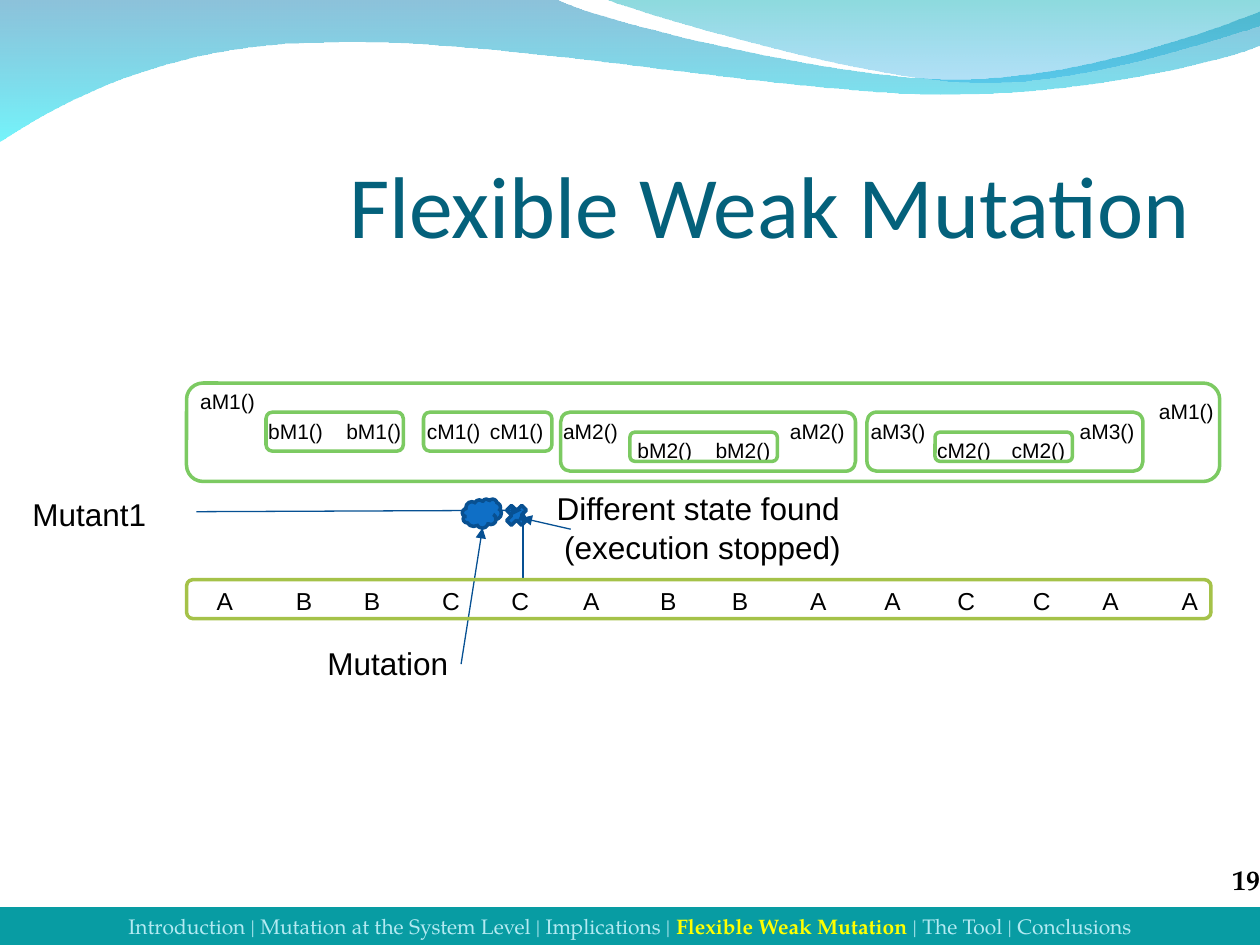
import pptx
import pptx.util
import pptx.dml.color
import pptx.enum.shapes
import pptx.enum.text
import pptx.oxml
import pptx.oxml.ns
from lxml import etree

Pt = pptx.util.Pt
SHAPES = pptx.enum.shapes.MSO_SHAPE
ALIGN = pptx.enum.text.PP_ALIGN
ANCHOR = pptx.enum.text.MSO_ANCHOR
AUTO_SIZE = pptx.enum.text.MSO_AUTO_SIZE
SERIF = "TeX Gyre Pagella"


def colour(hex_string):
    return pptx.dml.color.RGBColor.from_string(hex_string)


def add_element(parent, tag, **attributes):
    return etree.SubElement(parent, pptx.oxml.ns.qn(tag), attributes)


def format_run(run, size, font, hex_string, bold=False):
    run.font.size = Pt(size)
    run.font.name = font
    run.font.bold = bold
    run.font.color.rgb = colour(hex_string)


def set_margins(text_frame, left, top, right, bottom):
    text_frame.margin_left, text_frame.margin_top = Pt(left), Pt(top)
    text_frame.margin_right, text_frame.margin_bottom = Pt(right), Pt(bottom)


def add_label(slide, text, left, top, width, height, size):
    label = slide.shapes.add_textbox(Pt(left), Pt(top), Pt(width), Pt(height))
    text_frame = label.text_frame
    text_frame.text = text
    text_frame.word_wrap = False
    text_frame.auto_size = AUTO_SIZE.SHAPE_TO_FIT_TEXT
    format_run(text_frame.paragraphs[0].runs[0], size, "Arial", "000000")


def add_shape(slide, kind, left, top, width, height, fill=None, line=None):
    shape = slide.shapes.add_shape(kind, Pt(left), Pt(top), Pt(width), Pt(height))
    shape.shadow.inherit = False
    if fill:
        shape.fill.solid()
        shape.fill.fore_color.rgb = colour(fill)
    else:
        shape.fill.background()
    if line:
        shape.line.color.rgb = colour(line)
        shape.line.width = Pt(2)
    else:
        shape.line.fill.background()
    return shape


def add_arrow(slide, start, end, arrow_end="a:tailEnd"):
    connector = slide.shapes.add_connector(
        pptx.enum.shapes.MSO_CONNECTOR.STRAIGHT, *(Pt(value) for value in start + end))
    connector.line.color.rgb = colour("065093")
    connector.line.width = Pt(0.75)
    add_element(connector.line._get_or_add_ln(), arrow_end, type="triangle")
    add_element(connector._element.spPr, "a:effectLst")


def curve_points(start, controls, steps=24):
    """Points along a cubic Bezier curve, without its start."""
    x0, y0, (x1, y1, x2, y2, x3, y3) = *start, controls
    for step in range(1, steps + 1):
        t = step / steps
        u = 1 - t
        weights = (u ** 3, 3 * u * u * t, 3 * u * t * t, t ** 3)
        yield tuple(sum(weight * value for weight, value in zip(weights, values))
                    for values in ((x0, x1, x2, x3), (y0, y1, y2, y3)))


def add_wave(slide, left, top, start, segments, stops):
    """Segments of two numbers are lines, of six are curves."""
    points = [start]
    for segment in segments:
        points.extend([segment] if len(segment) == 2 else curve_points(points[-1], segment))
    vertices = [(Pt(left + x), Pt(top + y)) for x, y in points]
    builder = slide.shapes.build_freeform(*vertices[0], scale=1.0)
    builder.add_line_segments(vertices[1:], close=True)
    wave = builder.convert_to_shape()
    wave.shadow.inherit = False
    wave.line.fill.background()
    wave.fill.gradient()
    wave.fill.gradient_angle = 270
    for stop, (hex_string, opacity) in zip(wave.fill.gradient_stops, stops):
        stop.color.rgb = colour(hex_string)
    colours = wave._element.spPr.iter(pptx.oxml.ns.qn("a:srgbClr"))
    for element, (hex_string, opacity) in zip(colours, stops):
        add_element(element, "a:alpha", val=str(opacity * 1000))


def add_waves(slide, left, top):
    add_wave(slide, left, top, (0, 0), [
        (318.2, 0), (342.7, 12.2, 478.1, 45.4, 545.8, 45.4),
        (614.2, 45.4, 689.8, 18.7, 720, 6.5), (720, 26),
        (707.8, 31.7, 626.4, 54.7, 537.1, 54), (447.8, 54, 275, 20.2, 185, 24.5),
        (92.9, 25.2, 33.1, 59.8, 0, 81)], [("0079AF", 45), ("00EBF8", 55)])
    add_wave(slide, left, top, (346.5, 0), [
        (366.5, 7.9, 491, 44.6, 553.7, 46.8),
        (616.3, 49.7, 691.9, 23, 720, 15.1), (720, 0)], [("00ADB6", 45), ("009BE5", 30)])


def place_title(slide, left, top, width, height):
    title = slide.shapes.title
    title.left, title.top, title.width, title.height = map(Pt, (left, top, width, height))
    text_frame = title.text_frame
    text_frame.text = "Flexible Weak Mutation"
    text_frame.auto_size = AUTO_SIZE.NONE
    text_frame.vertical_anchor = ANCHOR.BOTTOM
    set_margins(text_frame, 0, 3.6, 0, 0)
    paragraph = text_frame.paragraphs[0]
    paragraph.alignment = ALIGN.RIGHT
    format_run(paragraph.runs[0], 50, "Calibri", "04617B")


def add_call_trace(slide, left, top, width, height):
    outer, middle, inner = 0, 16.6, 27.4
    calls = [
        ("aM1()", 0.7, outer - 0.7), ("bM1()", 39.6, middle), ("bM1()", 84.2, middle),
        ("cM1()", 130.3, middle), ("cM1()", 166.3, middle), ("aM2()", 208.1, middle),
        ("bM2()", 250.6, inner), ("bM2()", 295.2, inner), ("aM2()", 337.7, middle),
        ("aM3()", 383.8, middle), ("cM2()", 421.9, inner), ("cM2()", 464.4, inner),
        ("aM3()", 503.3, middle), ("aM1()", 548.6, outer + 5)]
    for text, x, y in calls:
        add_label(slide, text, left + x, top + y, 46.5, 21.8, 12)
    scopes = [
        (388.8, middle, 157.7, 33.8), (45.4, middle, 78.5, 22.3),
        (135.4, middle, 73.4, 22.3), (213.8, middle, 168.5, 33.8),
        (0, outer, width, height), (253.4, 28.1, 84.2, 16.6), (427.7, 28.1, 78.5, 16.6)]
    for x, y, scope_width, scope_height in scopes:
        add_shape(slide, SHAPES.ROUNDED_RECTANGLE, left + x, top + y,
                  scope_width, scope_height, line="7CCA62")


def add_object_sequence(slide, left, top, width, height):
    offsets = (10.1, 55.4, 94.3, 139, 178.6, 219.6, 263.5,
               304.6, 349.2, 391.7, 433.4, 476.6, 516.2, 561.6)
    for letter, offset in zip("ABBCCABBAACCAA", offsets):
        add_label(slide, letter, left + offset, top, 24.5, 24.2, 14)
    add_shape(slide, SHAPES.ROUNDED_RECTANGLE, left, top, width, height, line="A5C249")


def add_mutant_run(slide, left, top):
    def at(x, y):
        return left + x, top + y

    add_label(slide, "Mutant1", *at(0, 3.6), 80, 29.1, 18)
    # Stop mark and execution lines
    add_shape(slide, SHAPES.MATH_MULTIPLY, *at(275.4, 10.4), 16.6, 16.6, "0F6FC6", "085091")
    add_arrow(slide, at(100.8, 16.6), at(286.6, 15.8))
    add_arrow(slide, at(287.3, 15.8), at(287.3, 55.4), "a:headEnd")
    # Mutation point
    add_shape(slide, SHAPES.CLOUD, *at(252.7, 9.4), 22.3, 16.6, "0F6FC6", "085091")
    add_label(slide, "Mutation", *at(168.5, 88.6), 84, 29.1, 18)
    add_arrow(slide, at(252, 103.7), at(264.2, 25.9))
    # Outcome
    add_label(slide, "(execution stopped)", *at(303.8, 22.3), 175, 29.1, 18)
    add_label(slide, "Different state found", *at(299.5, 0), 178, 29.1, 18)
    add_arrow(slide, at(314.6, 26.6), at(286.6, 20.2))


def add_footer(slide, left, top, width, height):
    bar = add_shape(slide, SHAPES.RECTANGLE, left, top, width, height, fill="089CA3")
    paragraph = bar.text_frame.paragraphs[0]
    paragraph.alignment = ALIGN.CENTER
    sections = [
        ("Introduction | Mutation at the System Level | Implications | ", "B3EAF2", False),
        ("Flexible Weak Mutation", "FFFF00", True),
        (" | The Tool | Conclusions", "B3EAF2", False)]
    for text, hex_string, bold in sections:
        run = paragraph.add_run()
        run.text = text
        format_run(run, 12, SERIF, hex_string, bold)
    # Slide number
    number = slide.shapes.add_textbox(Pt(left + width - 26), Pt(top - 28.8), Pt(26), Pt(22.3))
    number.text_frame.text = "19"
    number.text_frame.word_wrap = True
    number.text_frame.vertical_anchor = ANCHOR.BOTTOM
    set_margins(number.text_frame, 0, 0, 0, 0)
    paragraph = number.text_frame.paragraphs[0]
    paragraph.alignment = ALIGN.RIGHT
    format_run(paragraph.runs[0], 16, SERIF, "000000", True)


def main():
    presentation = pptx.Presentation()
    presentation.slide_width, presentation.slide_height = Pt(720), Pt(540)
    slide = presentation.slides.add_slide(presentation.slide_layouts[5])
    add_waves(slide, 0, 0)
    place_title(slide, 33.8, 56.2, 646.6, 90)
    add_mutant_run(slide, 11.5, 275.8)
    add_object_sequence(slide, 106.6, 331.2, 585.4, 22.3)
    add_call_trace(slide, 106.6, 218.9, 590.4, 56.2)
    add_footer(slide, 0, 518.4, 720, 21.6)
    presentation.save("out.pptx")


if __name__ == "__main__":
    main()
